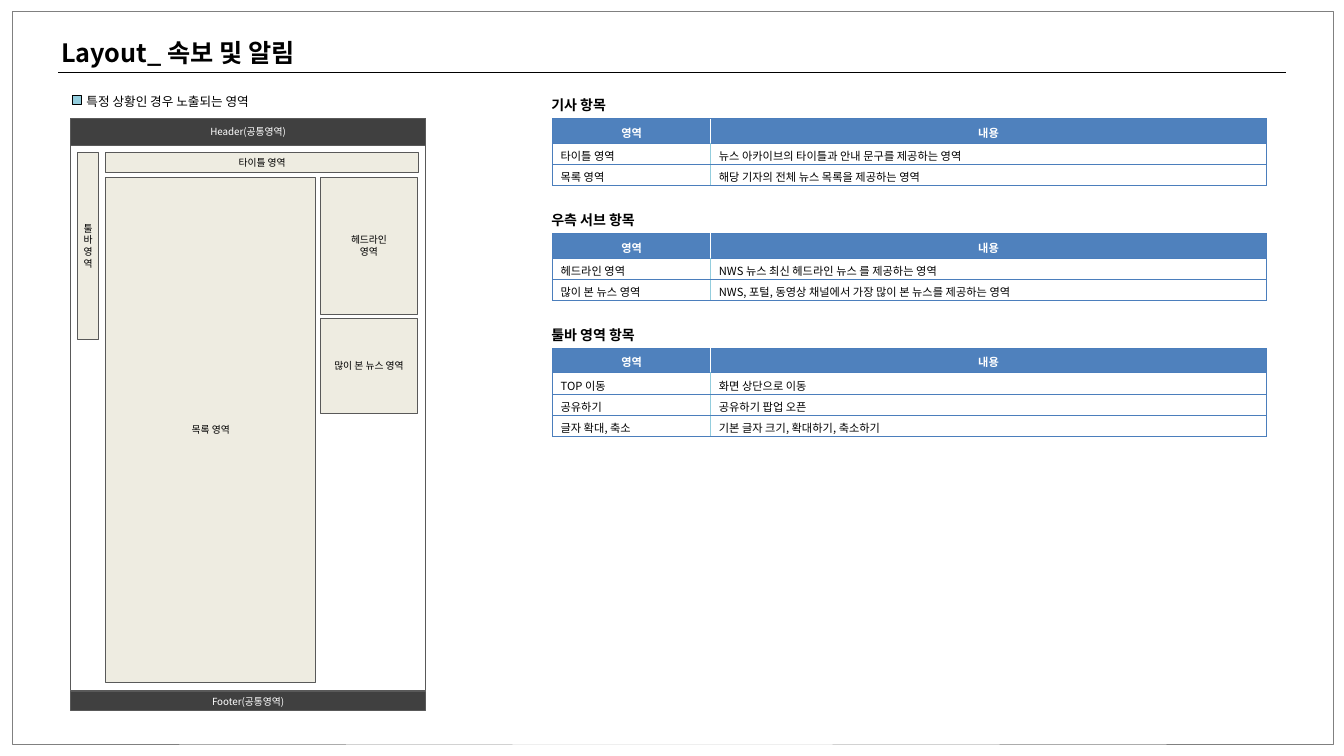
from dataclasses import dataclass

from lxml import etree
from pptx import Presentation
from pptx import util as u
from pptx.dml import color
from pptx.enum import shapes, text
from pptx.oxml import ns

FACE = "Noto Sans CJK KR"
HUES = {
    "black": "000000", "white": "FFFFFF", "frame": "808080", "edge": "595959",
    "bar": "404040", "area": "EEECE1", "mark": "93CDDD",
    "head": "4F81BD", "rule": "4B7EBC",
}
LEFT, WIDE = 0.7, 3.52
COLS = (1.57, 5.51)
HEAD, ROW = 0.24, 0.21


@dataclass
class Box:
    at: tuple[float, float, float, float]
    fill: str | None
    words: str = ""
    ink: str = "black"
    line: str = "edge"
    weight: float = 0.75


@dataclass
class Label:
    at: tuple[float, float, float, float]
    words: str
    size: float
    bold: bool = False
    space: float = 1.0


@dataclass
class Grid:
    title: str
    top: float
    rows: list[tuple[str, str]]


BOXES = [
    Box((0.12, 0.11, 13.1, 7.27), None, line="frame", weight=0.25),
    Box((LEFT, 1.18, WIDE, 5.67), "white"),
    Box((LEFT, 1.18, WIDE, 0.26), "bar", "Header(공통영역)", "white"),
    Box((LEFT, 6.86, WIDE, 0.19), "bar", "Footer(공통영역)", "white"),
    Box((0.77, 1.51, 0.21, 1.86), "area", "툴\n바\n영\n역"),
    Box((1.05, 1.51, 3.1, 0.2), "area", "타이틀 영역"),
    Box((1.05, 1.76, 2.08, 5.01), "area", "목록 영역"),
    Box((3.18, 1.76, 0.96, 1.36), "area", "헤드라인\n영역"),
    Box((3.18, 3.16, 0.96, 0.94), "area", "많이 본 뉴스 영역"),
    Box((0.72, 0.95, 0.09, 0.09), "mark", line="black"),
]
LABELS = [
    Label((0.51, 0.32, 2.64, 0.4), "Layout_ 속보 및 알림", 18, True),
    Label((0.76, 0.81, 1.93, 0.3), "특정 상황인 경우 노출되는 영역", 9, space=1.5),
]
GRIDS = [
    Grid("기사 항목", 1.18, [
        ("타이틀 영역", "뉴스 아카이브의 타이틀과 안내 문구를 제공하는 영역"),
        ("목록 영역", "해당 기자의 전체 뉴스 목록을 제공하는 영역"),
    ]),
    Grid("우측 서브 항목", 2.32, [
        ("헤드라인 영역", "NWS 뉴스 최신 헤드라인 뉴스 를 제공하는 영역"),
        ("많이 본 뉴스 영역", "NWS, 포털, 동영상 채널에서 가장 많이 본 뉴스를 제공하는 영역"),
    ]),
    Grid("툴바 영역 항목", 3.46, [
        ("TOP 이동", "화면 상단으로 이동"),
        ("공유하기", "공유하기 팝업 오픈"),
        ("글자 확대, 축소", "기본 글자 크기, 확대하기, 축소하기"),
    ]),
]


def rgb(hue: str) -> color.RGBColor:
    return color.RGBColor.from_string(HUES[hue])


def assign(item, **values) -> None:
    for key, value in values.items():
        setattr(item, key, value)


def write(frame, words: str, size: float, ink: str = "black",
          bold: bool = False, center: bool = False, space: float = 1.0) -> None:
    """Fill a text frame, one paragraph for each line of words."""
    frame.text = words
    for para in frame.paragraphs:
        assign(para, line_spacing=space,
               alignment=text.PP_ALIGN.CENTER if center else text.PP_ALIGN.LEFT)
        for run in para.runs:
            assign(run.font, name=FACE, size=u.Pt(size), bold=bold)
            run.font.color.rgb = rgb(ink)
            for tag in ("a:ea", "a:cs"):
                etree.SubElement(run.font._element, ns.qn(tag), typeface=FACE)


def draw_box(slide, box: Box) -> None:
    shape = slide.shapes.add_shape(shapes.MSO_SHAPE.RECTANGLE, *map(u.Inches, box.at))
    shape.shadow.inherit = False
    if box.fill:
        shape.fill.solid()
        shape.fill.fore_color.rgb = rgb(box.fill)
    else:
        shape.fill.background()
    shape.line.color.rgb = rgb(box.line)
    shape.line.width = u.Pt(box.weight)
    if box.words:
        assign(shape.text_frame, word_wrap=False,
               vertical_anchor=text.MSO_ANCHOR.MIDDLE)
        write(shape.text_frame, box.words, 7, box.ink, center=True)


def draw_label(slide, label: Label) -> None:
    frame = slide.shapes.add_textbox(*map(u.Inches, label.at)).text_frame
    assign(frame, word_wrap=False, auto_size=text.MSO_AUTO_SIZE.SHAPE_TO_FIT_TEXT)
    write(frame, label.words, label.size, bold=label.bold, space=label.space)


def draw_rule(slide) -> None:
    line = slide.shapes.add_connector(
        shapes.MSO_CONNECTOR.STRAIGHT, *map(u.Inches, (0.58, 0.72, 12.75, 0.72)))
    line.line.color.rgb = rgb("black")
    line.line.width = u.Pt(1)
    etree.SubElement(line._element.spPr, ns.qn("a:effectLst"))


def border(cell, side: str, hue: str, weight: float) -> None:
    props = cell._tc.get_or_add_tcPr()
    line = etree.SubElement(props, ns.qn(f"a:ln{side}"), w=str(u.Pt(weight)))
    fill = etree.SubElement(line, ns.qn("a:solidFill"))
    etree.SubElement(fill, ns.qn("a:srgbClr"), val=HUES[hue])


def draw_grid(slide, grid: Grid) -> None:
    draw_label(slide, Label((5.37, grid.top - 0.27, 1.07, 0.27), grid.title, 10, True))
    lines = [("영역", "내용"), *grid.rows]
    high = HEAD + ROW * len(grid.rows)
    table = slide.shapes.add_table(
        len(lines), len(COLS),
        *map(u.Inches, (5.48, grid.top, sum(COLS), high))).table
    for col, wide in zip(table.columns, COLS):
        col.width = u.Inches(wide)
    for r, line in enumerate(lines):
        top = r == 0
        table.rows[r].height = u.Inches(HEAD if top else ROW)
        split = ("white" if top else "mark", 1)
        outer = ("rule", 0.75)
        for c, words in enumerate(line):
            cell = table.cell(r, c)
            if not top:
                assign(cell, margin_left=u.Inches(0.08), margin_right=u.Inches(0.08),
                       margin_top=u.Inches(0.04), margin_bottom=u.Inches(0.03))
            border(cell, "L", *(split if c else outer))
            border(cell, "R", *(outer if c else split))
            border(cell, "T", *outer)
            border(cell, "B", *outer)
            cell.fill.solid()
            cell.fill.fore_color.rgb = rgb("head" if top else "white")
            write(cell.text_frame, words, 8, "white" if top else "black", top, top)


def main() -> None:
    deck = Presentation()
    assign(deck, slide_width=u.Inches(13.33), slide_height=u.Inches(7.5))
    slide = deck.slides.add_slide(deck.slide_layouts[6])
    draw_rule(slide)
    for box in BOXES:
        draw_box(slide, box)
    for label in LABELS:
        draw_label(slide, label)
    for grid in GRIDS:
        draw_grid(slide, grid)
    deck.save("out.pptx")


if __name__ == "__main__":
    main()
